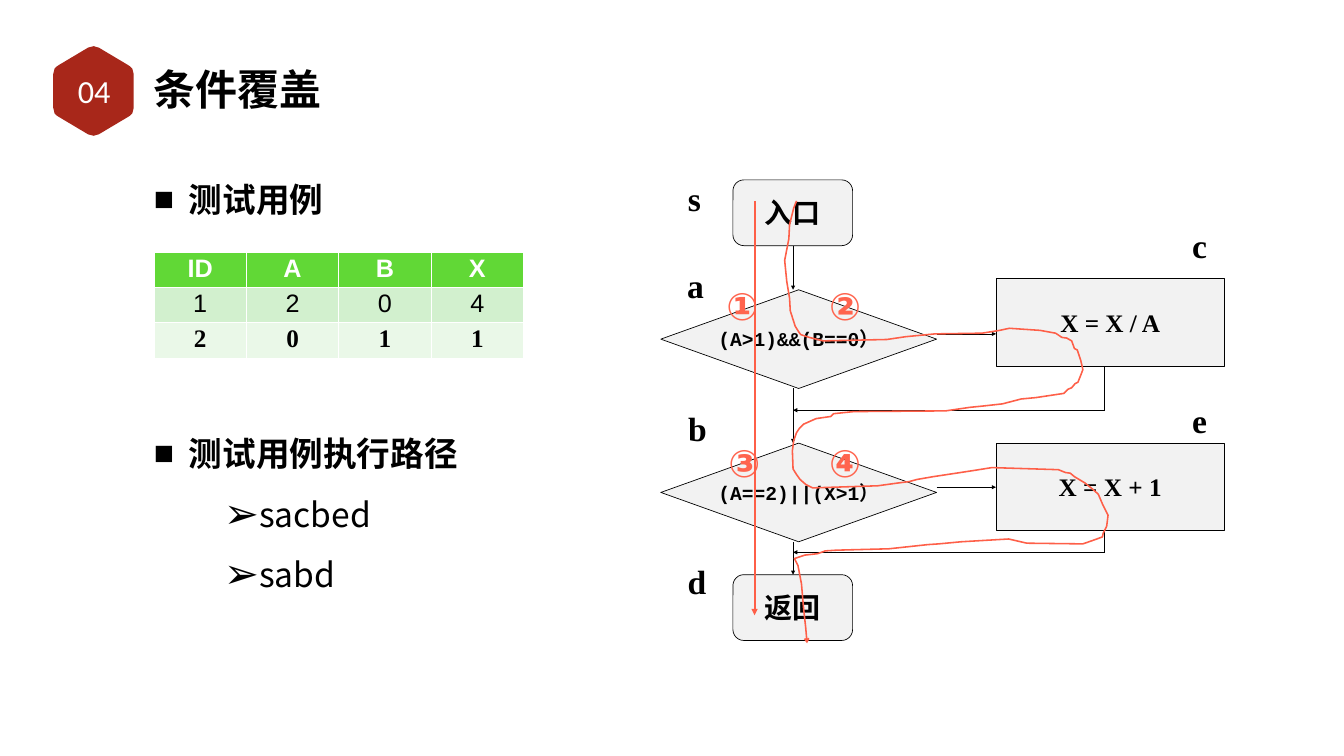
from math import cos, radians, sin

from lxml.etree import SubElement
from pptx import Presentation
from pptx.dml.color import RGBColor
from pptx.enum.shapes import MSO_CONNECTOR, MSO_SHAPE
from pptx.enum.text import MSO_ANCHOR, MSO_AUTO_SIZE, PP_ALIGN
from pptx.oxml.ns import qn
from pptx.util import Pt

BLACK, WHITE, RED = "000000", "FFFFFF", "A8271A"
NODE_GREY, TRACE, MARKER = "F2F2F2", "FE5F48", "FF644E"
SERIF, HEITI = "Times New Roman", "Noto Sans CJK SC"

# Route through both true branches, relative to the flowchart box
BRANCH_ROUTE = [
    (194, 37), (190, 47), (184, 71), (183, 91), (177, 122), (180, 152), (184, 176),
    (185, 194), (192, 216), (197, 224), (200, 228), (212, 232), (232, 237), (323, 235),
    (350, 231), (392, 227), (459, 226), (484, 222), (498, 219), (542, 222), (564, 226),
    (573, 232), (580, 233), (587, 237), (591, 248), (595, 250), (600, 265), (603, 278),
    (600, 286), (596, 296), (592, 298), (587, 304), (582, 306), (576, 312), (536, 318),
    (515, 320), (488, 327), (461, 330), (441, 332), (407, 337), (276, 338), (247, 341),
    (243, 345), (222, 348), (204, 356), (198, 362), (194, 368), (190, 379), (188, 394),
    (189, 420), (194, 428), (199, 435), (207, 442), (217, 447), (310, 444), (339, 440),
    (355, 438), (366, 435), (389, 431), (422, 426), (448, 422), (473, 418), (568, 421),
    (578, 425), (585, 426), (591, 431), (606, 440), (616, 448), (625, 456), (631, 470),
    (639, 486), (637, 502), (632, 512), (631, 517), (623, 520), (603, 527), (523, 526),
    (497, 520), (429, 524), (397, 527), (382, 528), (326, 534), (251, 536), (235, 537),
    (224, 541), (206, 543), (191, 548), (196, 558), (201, 584), (204, 619), (207, 646),
    (209, 669),
]


def color(hex_string):
    return RGBColor.from_string(hex_string)


def add_run(paragraph, text, size, font, ink=BLACK, bold=False):
    run = paragraph.add_run()
    run.text = text
    run.font.size, run.font.name, run.font.bold = Pt(size), font, bold
    run.font.color.rgb = color(ink)
    if font == HEITI:
        SubElement(run.font._element, qn("a:ea"), typeface=font)
    return run


def set_insets(frame, inset):
    frame.margin_left = frame.margin_right = Pt(inset)
    frame.margin_top = frame.margin_bottom = Pt(inset)


def add_label(slide, box, text, size, font, ink=BLACK, bold=True):
    """Add centred text that stays on one line."""
    frame = slide.shapes.add_textbox(*map(Pt, box)).text_frame
    frame.word_wrap = False
    paragraph = frame.paragraphs[0]
    paragraph.alignment = PP_ALIGN.CENTER
    return frame, add_run(paragraph, text, size, font, ink, bold)


def add_arrowhead(line, kind):
    SubElement(line._get_or_add_ln(), qn("a:tailEnd"), type=kind)


def add_line(slide, start, end, ink=BLACK, width=1, arrow=True):
    connector = slide.shapes.add_connector(MSO_CONNECTOR.STRAIGHT, *map(Pt, start + end))
    connector.line.color.rgb = color(ink)
    connector.line.width = Pt(width)
    if arrow:
        add_arrowhead(connector.line, "triangle")
    SubElement(connector._element.spPr, qn("a:effectLst"))


def add_outline(slide, points, close):
    start, *rest = points
    builder = slide.shapes.build_freeform(*start, scale=float(Pt(1)))
    builder.add_line_segments(rest, close=close)
    outline = builder.convert_to_shape()
    outline.shadow.inherit = False
    return outline


def add_badge(slide, left, top, width, height, number):
    """Draw a hexagon with rounded corners and a number in it."""
    cx, cy, radius, cut = left + width / 2, top + height / 2, height / 1.94, 0.13
    corners = [(cx + radius * cos(radians(a)), cy + radius * sin(radians(a)))
               for a in range(-90, 270, 60)]
    points = []
    for i, corner in enumerate(corners):
        before, after = corners[i - 1], corners[(i + 1) % 6]
        for t in (0, 0.25, 0.5, 0.75, 1):
            toward, away = cut * (1 - t) ** 2, cut * t ** 2
            points.append(tuple(c + toward * (b - c) + away * (a - c)
                                for b, c, a in zip(before, corner, after)))
    hexagon = add_outline(slide, points, close=True)
    hexagon.fill.solid()
    hexagon.fill.fore_color.rgb = color(RED)
    hexagon.line.fill.background()
    frame, _ = add_label(slide, (left - 4, cy - 37.5, width + 10, 75), number, 46,
                         "Calibri", WHITE, bold=False)
    frame.word_wrap = True
    frame.vertical_anchor = MSO_ANCHOR.MIDDLE
    set_insets(frame, 3.6)


def place_title(slide, left, top, width, height, text):
    title = slide.shapes.title
    title.left, title.top, title.width, title.height = map(Pt, (left, top, width, height))
    frame = title.text_frame
    frame.auto_size = MSO_AUTO_SIZE.NONE
    frame.vertical_anchor = MSO_ANCHOR.MIDDLE
    set_insets(frame, 4)
    frame.paragraphs[0].alignment = PP_ALIGN.LEFT
    add_run(frame.paragraphs[0], text, 60, HEITI, bold=True)


def add_outline_list(slide, left, top, width, height, heading, items=()):
    """Add a square-bulleted heading with arrow-bulleted items below."""
    frame = slide.shapes.add_textbox(*map(Pt, (left, top, width, height))).text_frame
    frame.word_wrap = True
    set_insets(frame, 4)
    for i, text in enumerate((heading, *items)):
        paragraph = frame.add_paragraph() if i else frame.paragraphs[0]
        properties = paragraph._p.get_or_add_pPr()
        properties.set("marL", str(Pt(150 if i else 50)))
        properties.set("indent", str(Pt(-50)))
        if i:
            paragraph.level = 1
            SubElement(properties, qn("a:buSzPct"), val="125000")
        SubElement(properties, qn("a:buFont"), typeface="Arial")
        SubElement(properties, qn("a:buChar"), char="➢" if i else "■")
        paragraph.line_spacing = 1.5 if i else 2.0
        add_run(paragraph, text, 48, HEITI, bold=not i)


def add_case_table(slide, left, top, width, height):
    rows = [("ID", "A", "B", "X"), ("1", "2", "0", "4"), ("2", "0", "1", "1")]
    styles = [("61D836", "Arial", WHITE, True), ("D2F0CE", "Arial", BLACK, False),
              ("EAF8E8", SERIF, BLACK, True)]
    box = map(Pt, (left, top, width, height))
    table = slide.shapes.add_table(len(rows), len(rows[0]), *box).table
    for r, (values, (fill, font, ink, bold)) in enumerate(zip(rows, styles)):
        for c, value in enumerate(values):
            cell = table.cell(r, c)
            cell.fill.solid()
            cell.fill.fore_color.rgb = color(fill)
            paragraph = cell.text_frame.paragraphs[0]
            paragraph.alignment = PP_ALIGN.CENTER
            add_run(paragraph, value, 36, font, ink, bold)


def add_node(slide, kind, box, text, size, font):
    node = slide.shapes.add_shape(kind, *map(Pt, box))
    node.shadow.inherit = False
    node.fill.solid()
    node.fill.fore_color.rgb = color(NODE_GREY)
    node.line.color.rgb = color(BLACK)
    node.line.width = Pt(1)
    frame = node.text_frame
    frame.word_wrap = False
    frame.vertical_anchor = MSO_ANCHOR.MIDDLE
    frame.paragraphs[0].alignment = PP_ALIGN.CENTER
    add_run(frame.paragraphs[0], text, size, font, bold=True)


def add_flowchart(slide, left, top):
    def at(x, y):
        return left + x, top + y

    spine, branch_end, process_left, return_x = 189, 394, 479, 634
    for y, text in ((7, "入口"), (571, "返回")):
        add_node(slide, MSO_SHAPE.FLOWCHART_ALTERNATE_PROCESS, (*at(103, y), 171, 94),
                 text, 40, SERIF)
    for y, text in ((164, "(A>1)&&(B==0）"), (383, "(A==2)||(X>1）")):
        add_node(slide, MSO_SHAPE.FLOWCHART_DECISION, (*at(0, y), branch_end, 141),
                 text, 28, "Courier New")
    for y, text in ((148, "X = X / A"), (383, "X = X + 1")):
        add_node(slide, MSO_SHAPE.FLOWCHART_PROCESS, (*at(process_left, y), 326, 125),
                 text, 36, SERIF)

    for y1, y2 in ((101, 164), (305, 383), (524, 571)):
        add_line(slide, at(spine, y1), at(spine, y2))
    for branch_y, bottom, merge_y in ((227, 273, 336), (446, 508, 539)):
        add_line(slide, at(branch_end, branch_y), at(process_left, branch_y))
        add_line(slide, at(return_x, bottom), at(return_x, merge_y), arrow=False)
        add_line(slide, at(return_x, merge_y), at(spine, merge_y))

    for text, x, y, width in (("s", 24, 0, 48), ("a", 22, 125, 55), ("b", 23, 329, 59),
                              ("d", 22, 548, 59), ("c", 744, 68, 51), ("e", 744, 318, 51)):
        add_label(slide, (*at(x, y), width, 86), text, 48, SERIF)
    for text, x, y in (("①", 82, 151), ("②", 229, 150), ("③", 85, 374), ("④", 229, 374)):
        _, run = add_label(slide, (*at(x, y), 69, 73), text, 54, "Arial", MARKER)
        edge = run.font._element.makeelement(qn("a:ln"), {"w": str(Pt(0.75))})
        SubElement(SubElement(edge, qn("a:solidFill")), qn("a:srgbClr"), val=WHITE)
        run.font._element.insert(0, edge)

    route = add_outline(slide, [at(*point) for point in BRANCH_ROUTE], close=False)
    route.fill.background()
    route.line.color.rgb = color(TRACE)
    route.line.width = Pt(2.25)
    add_arrowhead(route.line, "arrow")
    add_line(slide, at(134, 37), at(134, 629), TRACE, 3)


def main():
    deck = Presentation()
    deck.slide_width, deck.slide_height = Pt(1920), Pt(1080)
    slide = deck.slides.add_slide(deck.slide_layouts.get_by_name("Title Only"))
    add_badge(slide, 76, 66, 115, 128, "04")
    place_title(slide, 215, 85, 433, 82, "条件覆盖")
    add_flowchart(slide, 944, 250)
    add_outline_list(slide, 216, 194, 585, 188, "测试用例")
    add_case_table(slide, 220, 360, 528, 151)
    add_outline_list(slide, 216, 557, 585, 441, "测试用例执行路径", ("sacbed", "sabd"))
    deck.save("out.pptx")


if __name__ == "__main__":
    main()
